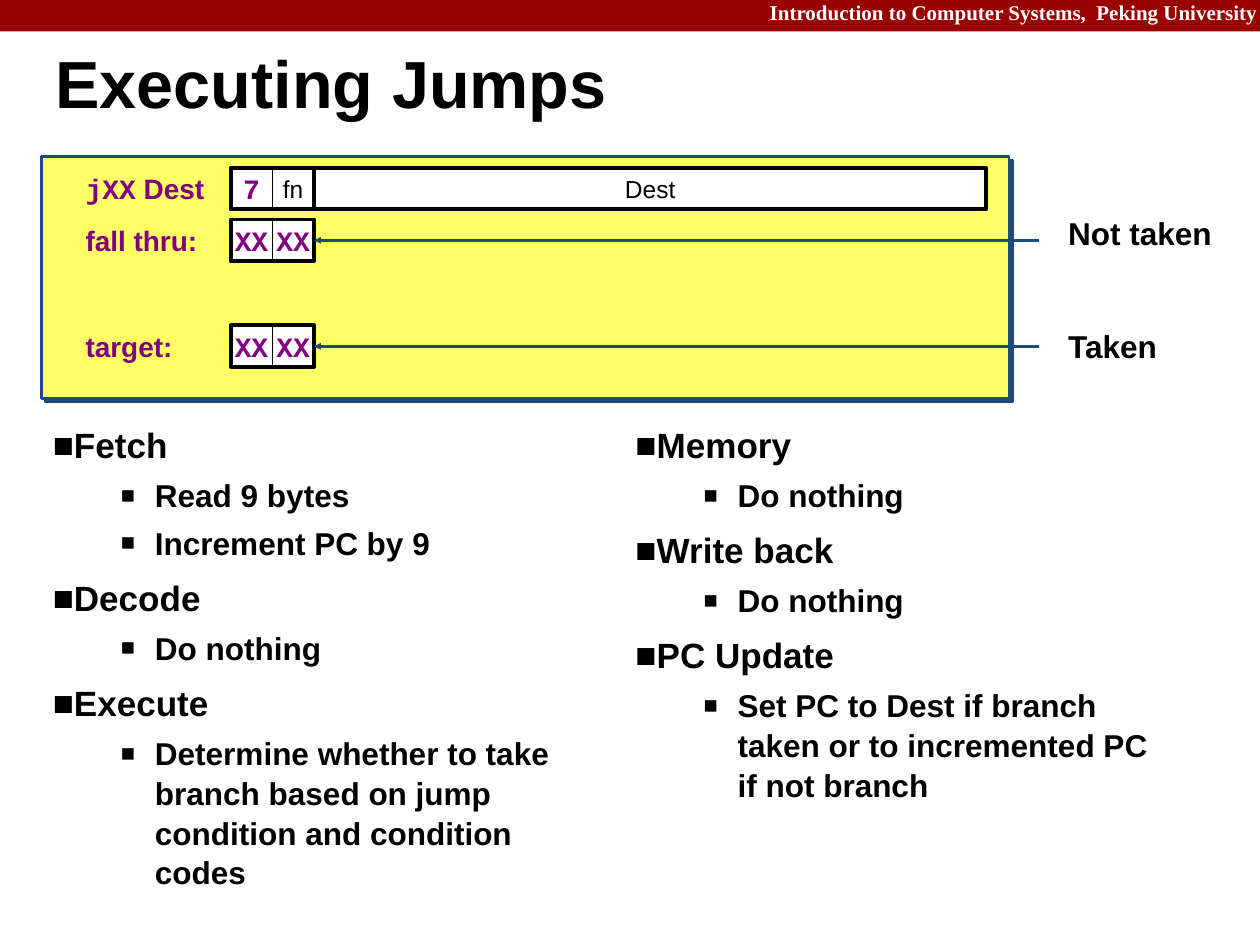
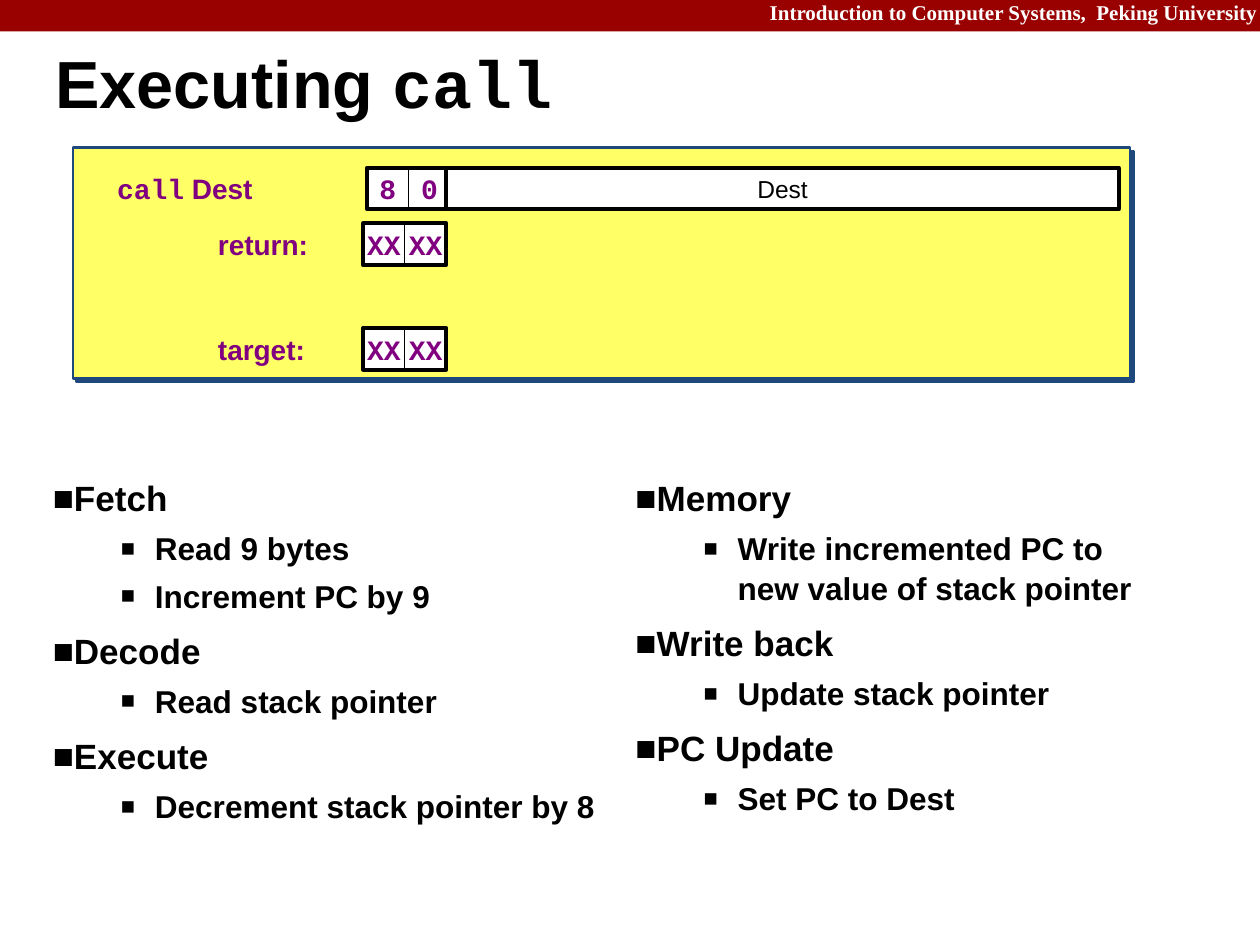
from collections import namedtuple

from lxml.etree import SubElement
from pptx import Presentation
from pptx.dml.color import RGBColor
from pptx.enum.shapes import MSO_CONNECTOR, MSO_SHAPE
from pptx.enum.text import MSO_ANCHOR, PP_ALIGN
from pptx.oxml.ns import qn
from pptx.util import Inches, Pt

# Shared colours and text styles
RED = RGBColor(0x99, 0x00, 0x00)
NAVY = RGBColor(0x1F, 0x49, 0x7D)
YELLOW = RGBColor(0xFF, 0xFF, 0x66)
PURPLE = RGBColor(0x80, 0x00, 0x80)
BLACK = RGBColor(0x00, 0x00, 0x00)
WHITE = RGBColor(0xFF, 0xFF, 0xFF)

Style = namedtuple("Style", "font size color bold")
BANNER = Style("Times New Roman", 12, WHITE, True)
TITLE = Style("Arial", 38, BLACK, True)
TITLE_CODE = TITLE._replace(font="Courier New")
HEADING = Style("Arial", 20, BLACK, True)
DETAIL = HEADING._replace(size=18)
LABEL = Style("Arial", 16, PURPLE, True)
CODE = LABEL._replace(font="Courier New")
FIELD = Style("Arial", 14, BLACK, False)

BYTE = 0.33  # side of one half-byte cell
DEST_WIDTH = 5.33
UNKNOWN = [("XX", CODE), ("XX", CODE)]


def add_runs(paragraph, parts):
    for text, style in parts:
        run = paragraph.add_run()
        run.text = text
        run.font.name = style.font
        run.font.size = Pt(style.size)
        run.font.color.rgb = style.color
        run.font.bold = style.bold


def add_box(slide, left, top, width, height, fill=None, line=None, weight=0):
    box = slide.shapes.add_shape(MSO_SHAPE.RECTANGLE, Inches(left), Inches(top),
                                 Inches(width), Inches(height))
    box.shadow.inherit = False
    if fill is None:
        box.fill.background()
    else:
        box.fill.solid()
        box.fill.fore_color.rgb = fill
    if line is None:
        box.line.fill.background()
    else:
        box.line.color.rgb = line
        box.line.width = Pt(weight)
    return box


def add_text(slide, left, top, width, height, parts=(), inset=(0.1, 0.05),
             anchor=MSO_ANCHOR.MIDDLE, spacing=1.0, align=PP_ALIGN.LEFT):
    frame = slide.shapes.add_textbox(Inches(left), Inches(top),
                                     Inches(width), Inches(height)).text_frame
    frame.word_wrap = True
    frame.vertical_anchor = anchor
    frame.margin_left = frame.margin_right = Inches(inset[0])
    frame.margin_top = frame.margin_bottom = Inches(inset[1])
    paragraph = frame.paragraphs[0]
    paragraph.line_spacing = spacing
    paragraph.alignment = align
    add_runs(paragraph, parts)
    return frame


def add_cell(slide, left, top, width, text, style, weight):
    cell = add_box(slide, left, top, width, BYTE, WHITE, BLACK, weight)
    frame = cell.text_frame
    frame.word_wrap = False
    frame.vertical_anchor = MSO_ANCHOR.MIDDLE
    frame.margin_left = frame.margin_right = 0
    frame.paragraphs[0].alignment = PP_ALIGN.CENTER
    add_runs(frame.paragraphs[0], [(text, style)])


def add_frame(slide, title_parts):
    """Red banner with the course name, and the slide title."""
    add_box(slide, 0, 0, 10, 0.25, RED)
    add_text(slide, 6, -0.03, 4.07, 0.28,
             [("Introduction to Computer Systems,  Peking University", BANNER)],
             anchor=MSO_ANCHOR.TOP, spacing=0.9, align=PP_ALIGN.RIGHT)
    add_text(slide, 0.44, 0.27, 9.52, 0.85, title_parts, (0, 0), spacing=0.87)


def add_panel(slide, left, top, width, height):
    """Yellow panel with a hard navy shadow."""
    panel = add_box(slide, left, top, width, height, YELLOW, NAVY, 1.5)
    effects = panel._element.spPr.find(qn("a:effectLst"))
    shadow = SubElement(effects, qn("a:outerShdw"), dist=str(Pt(2.8)),
                        dir="2700000", algn="ctr", rotWithShape="0")
    SubElement(shadow, qn("a:srgbClr"), val=str(NAVY))


def add_code_row(slide, left, top, label_left, label_parts, cells):
    """Label and two half-byte cells in a heavy outline."""
    add_text(slide, label_left, top, left - label_left, BYTE, label_parts)
    for index, (text, style) in enumerate(cells):
        add_cell(slide, left + index * BYTE, top, BYTE, text, style, 0.5)
    add_box(slide, left, top, 2 * BYTE, BYTE, None, BLACK, 2.25)


def add_branch(slide, left, top, text, text_top):
    """Arrow pointing left at a code row, with its caption."""
    arrow = slide.shapes.add_connector(MSO_CONNECTOR.STRAIGHT, Inches(8.24),
                                       Inches(top), Inches(left), Inches(top))
    arrow.line.color.rgb = NAVY
    arrow.line.width = Pt(1.5)
    SubElement(arrow.line._get_or_add_ln(), qn("a:tailEnd"),
               type="triangle", w="sm", len="sm")
    SubElement(arrow._element.spPr, qn("a:effectLst"))
    add_text(slide, 8.42, text_top, 1.4, 0.37, [(text, DETAIL)], (0.05, 0.05),
             MSO_ANCHOR.TOP, 0.9)


def add_bullet(paragraph, margin, indent, percent):
    properties = paragraph._p.get_or_add_pPr()
    properties.set("marL", str(Inches(margin)))
    properties.set("indent", str(Inches(indent)))
    SubElement(properties, qn("a:buSzPct"), val=str(percent * 1000))
    SubElement(properties, qn("a:buFont"), typeface="Arial")
    SubElement(properties, qn("a:buChar"), char="■")


def add_stages(slide, left, top, width, stages):
    """Column of stage names, each with its bulleted steps."""
    frame = add_text(slide, left, top, width, 7.03 - top, anchor=MSO_ANCHOR.TOP)
    lines = []
    for stage, steps in stages:
        lines.append((stage, HEADING))
        lines += [(step, DETAIL) for step in steps]
    for index, (text, style) in enumerate(lines):
        paragraph = frame.add_paragraph() if index else frame.paragraphs[0]
        if style is HEADING:
            add_bullet(paragraph, 0, 0, 100)
            paragraph.line_spacing = 0.95
            space = 10
        else:
            paragraph.level = 1
            add_bullet(paragraph, 0.81, -0.27, 75)
            paragraph.line_spacing = 1.05
            space = 4.5
        if index:
            paragraph.space_before = Pt(space)
        add_runs(paragraph, [(text, style)])


def build_jumps(slide):
    add_frame(slide, [("Executing Jumps", TITLE)])

    # Instruction encoding
    add_panel(slide, 0.33, 1.24, 7.67, 1.92)
    code_left, label_left = 1.83, 0.58
    add_code_row(slide, code_left, 1.33, label_left,
                 [("jXX", CODE), (" Dest", LABEL)], [("7", CODE), ("fn", FIELD)])
    add_cell(slide, 2.49, 1.33, DEST_WIDTH, "Dest", FIELD, 2.25)
    for top, label, branch, branch_top in ((1.74, "fall thru:", "Not taken", 1.68),
                                           (2.58, "target:", "Taken", 2.58)):
        add_code_row(slide, code_left, top, label_left, [(label, LABEL)], UNKNOWN)
        add_branch(slide, 2.49, top + BYTE / 2, branch, branch_top)

    # Stages
    add_stages(slide, 0.32, 3.33, 4.45, [
        ("Fetch", ["Read 9 bytes", "Increment PC by 9"]),
        ("Decode", ["Do nothing"]),
        ("Execute", ["Determine whether to take branch based on jump "
                     "condition and condition codes"])])
    add_stages(slide, 4.94, 3.33, 4.45, [
        ("Memory", ["Do nothing"]),
        ("Write back", ["Do nothing"]),
        ("PC Update", ["Set PC to Dest if branch taken or to incremented PC "
                       "if not branch"])])


def build_call(slide):
    add_frame(slide, [("Executing ", TITLE), ("call", TITLE_CODE)])

    # Instruction encoding
    add_panel(slide, 0.58, 1.17, 8.38, 1.83)
    add_code_row(slide, 2.91, 1.33, 0.83, [("call", CODE), (" Dest", LABEL)],
                 [("8", CODE), ("0", CODE)])
    add_cell(slide, 3.54, 1.33, DEST_WIDTH, "Dest", FIELD, 2.25)
    for top, label in ((1.77, "return:"), (2.6, "target:")):
        add_code_row(slide, 2.88, top, 1.63, [(label, LABEL)], UNKNOWN)

    # Stages
    add_stages(slide, 0.32, 3.75, 4.59, [
        ("Fetch", ["Read 9 bytes", "Increment PC by 9"]),
        ("Decode", ["Read stack pointer"]),
        ("Execute", ["Decrement stack pointer by 8"])])
    add_stages(slide, 4.94, 3.75, 4.45, [
        ("Memory", ["Write incremented PC to new value of stack pointer"]),
        ("Write back", ["Update stack pointer"]),
        ("PC Update", ["Set PC to Dest"])])


def main():
    deck = Presentation()
    deck.slide_width, deck.slide_height = Inches(9.99), Inches(7.49)
    for build in (build_jumps, build_call):
        build(deck.slides.add_slide(deck.slide_layouts[6]))
    deck.save("out.pptx")


if __name__ == "__main__":
    main()
